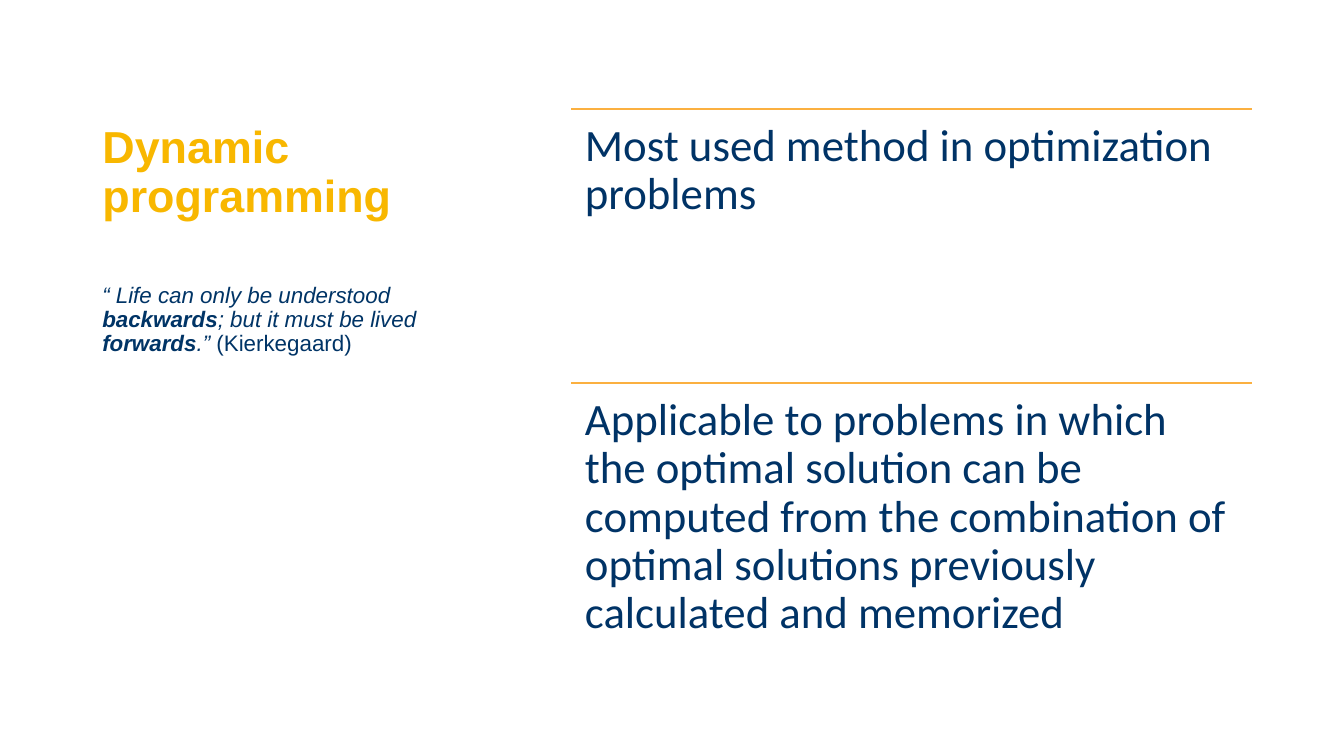
from dataclasses import dataclass

from pptx import Presentation
from pptx.dml.color import RGBColor
from pptx.enum.shapes import MSO_CONNECTOR
from pptx.enum.text import MSO_ANCHOR, MSO_AUTO_SIZE, PP_ALIGN
from pptx.oxml.ns import qn
from pptx.util import Pt


@dataclass(frozen=True)
class Theme:
    gold: str = "F8B700"
    rule: str = "FBB040"
    quote: str = "003466"
    body: str = "003366"
    large: int = 32
    small: int = 16


theme = Theme()


def write(sp, runs, size, color, font="Arial", margins=(7.2, 3.6, 7.2, 3.6),
          anchor=MSO_ANCHOR.TOP, before=0):
    tf = sp.text_frame
    tf.word_wrap = True
    tf.auto_size = MSO_AUTO_SIZE.NONE
    tf.vertical_anchor = anchor
    tf.margin_left, tf.margin_top, tf.margin_right, tf.margin_bottom = map(Pt, margins)
    p = tf.paragraphs[0]
    p.alignment = PP_ALIGN.LEFT
    p.line_spacing = 0.9
    p.space_before = Pt(before)
    for text, bold, italic in runs:
        r = p.add_run()
        r.text = text
        r.font.name = font
        r.font.size = Pt(size)
        r.font.bold = bold
        r.font.italic = italic
        r.font.color.rgb = RGBColor.from_string(color)


prs = Presentation()
prs.slide_width, prs.slide_height = Pt(960), Pt(540)
s = prs.slides.add_slide(prs.slide_layouts[5])

title = s.shapes.title
title.left, title.top, title.width, title.height = Pt(66), Pt(36), Pt(309.6), Pt(126)
write(title, [("Dynamic programming", True, False)], theme.large, theme.gold,
      margins=(7.2, 2.9, 7.2, 3.6), anchor=MSO_ANCHOR.BOTTOM)

quote = s.shapes.add_textbox(Pt(66), Pt(199.4), Pt(275.8), Pt(269.3))
write(quote, [
    ("“ Life can only be understood ", False, True),
    ("backwards", True, True),
    ("; but it must be lived ", False, True),
    ("forwards", True, True),
    (".”", False, True),
    (" (Kierkegaard)", False, False),
], theme.small, theme.quote, before=10)

points = [
    "Most used method in optimization problems",
    "Applicable to problems in which the optimal solution can be computed from "
    "the combination of optimal solutions previously calculated and memorized",
]
left, top, width, height = 408.2, 77.8, 486, 195.8
for i, text in enumerate(points):
    y = top + i * height
    line = s.shapes.add_connector(MSO_CONNECTOR.STRAIGHT, Pt(left), Pt(y), Pt(left + width), Pt(y))
    line.line.color.rgb = RGBColor.from_string(theme.rule)
    line.line.width = Pt(1)
    spPr = line._element.spPr
    spPr.append(spPr.makeelement(qn("a:effectLst"), {}))
    sp = s.shapes.add_textbox(Pt(left), Pt(y), Pt(width), Pt(height))
    write(sp, [(text, False, False)], theme.large, theme.body, font="Calibri", margins=(9.6,) * 4)

prs.save("out.pptx")
